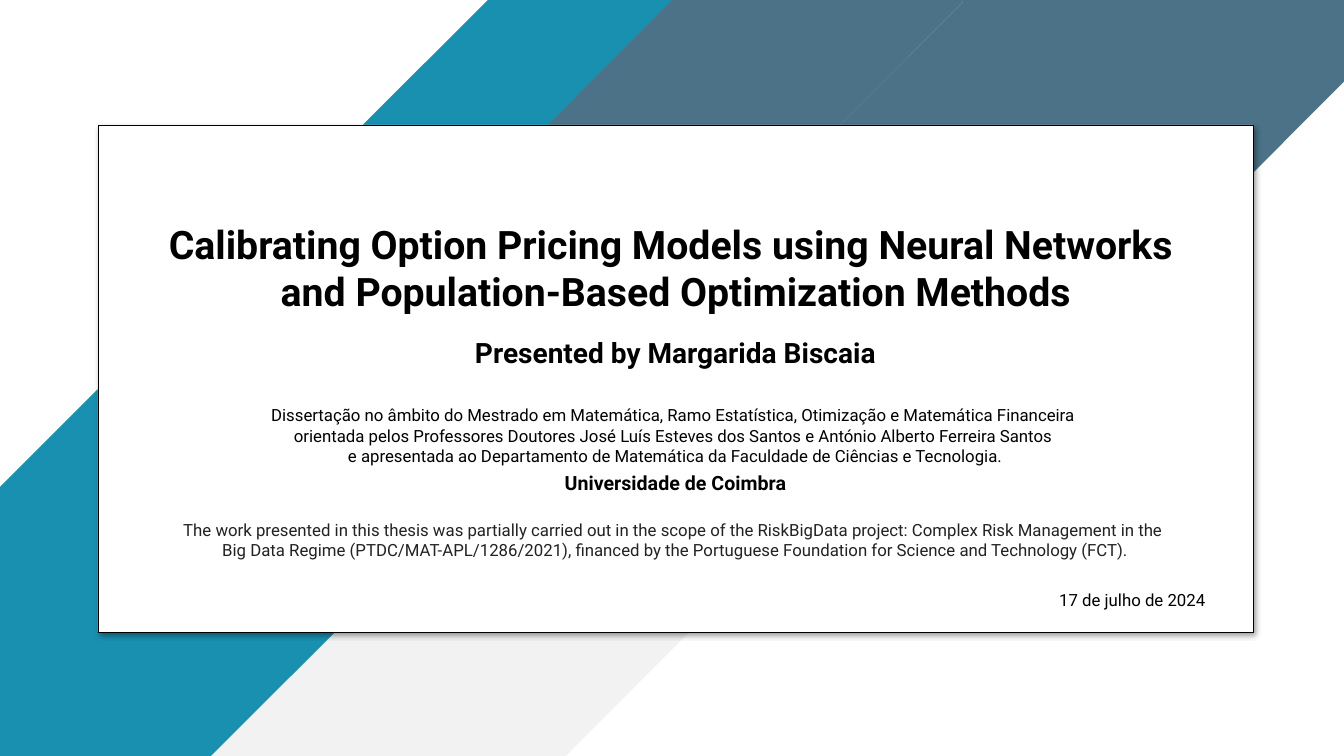
"""Build the title slide of a thesis defence on option pricing models."""
from dataclasses import dataclass

from lxml import etree
from pptx import Presentation
from pptx.dml.color import RGBColor
from pptx.enum import shapes, text
from pptx.oxml.ns import qn
from pptx.util import Inches, Pt


@dataclass(frozen=True)
class Theme:
    font: str = "Roboto"
    black: str = "000000"
    grey_text: str = "222222"
    white: str = "FFFFFF"
    pale: str = "F2F2F2"
    teal: str = "1990B0"
    slate: str = "4B7287"
    title: int = 28
    presenter: int = 20
    university: int = 14
    body: int = 12


@dataclass(frozen=True)
class Band:
    color: str
    points: tuple[tuple[float, float], ...]


@dataclass(frozen=True)
class Box:
    left: float
    top: float
    width: float
    height: float


@dataclass(frozen=True)
class Label:
    box: Box
    lines: tuple[str, ...]
    size: int
    bold: bool = False
    color: str = Theme.black
    rounded: bool = False


THEME = Theme()
CARD = Box(0.97, 1.24, 11.46, 5.03)

BANDS = (
    Band(THEME.pale, ((6.61, 2.91), (8.4, 4.7), (3.69, 9.43), (1.91, 7.65))),
    Band(THEME.teal, ((4.84, 0), (6.7, 0), (5.12, 1.57), (6.58, 3.02),
                      (1.05, 8.54), (0, 7.5), (0, 4.83))),
    Band(THEME.slate, ((9.52, -0.01), (13.33, -0.01), (13.33, 0.81),
                       (8.85, 5.3), (6.55, 3.02), (9.55, 0.02))),
    Band(THEME.slate, ((6.68, -0.01), (9.53, -0.01), (9.55, 0.02),
                       (6.56, 3.02), (5.11, 1.57))),
)


def card_row(top: float, height: float) -> Box:
    """Return a box as wide as the card."""
    return Box(CARD.left, top, CARD.width, height)


LABELS = (
    Label(card_row(2.14, 1.04),
          ("Calibrating Option Pricing Models using Neural Networks ",
           "and Population-Based Optimization Methods"),
          THEME.title, bold=True),
    Label(card_row(3.19, 0.61), ("Presented by Margarida Biscaia",),
          THEME.presenter, bold=True, rounded=True),
    Label(card_row(4.62, 0.34), ("Universidade de Coimbra",),
          THEME.university, bold=True),
    Label(Box(10.34, 5.8, 1.78, 0.3), ("17 de julho de 2024",), THEME.body),
    Label(card_row(5.11, 0.5),
          ("The work presented in this thesis was partially carried out in the scope of "
           "the RiskBigData project: Complex Risk Management in the ",
           "Big Data Regime (PTDC/MAT-APL/1286/2021), financed by the Portuguese "
           "Foundation for Science and Technology (FCT)."),
          THEME.body, color=THEME.grey_text),
    Label(card_row(3.97, 0.71),
          ("Dissertação no âmbito do Mestrado em Matemática, Ramo Estatística, "
           "Otimização e Matemática Financeira ",
           "orientada pelos Professores Doutores José Luís Esteves dos Santos e "
           "António Alberto Ferreira Santos ",
           "e apresentada ao Departamento de Matemática da Faculdade de Ciências "
           "e Tecnologia."),
          THEME.body),
)


def place(box: Box) -> tuple[int, ...]:
    """Convert a box to slide lengths."""
    return tuple(Inches(v) for v in (box.left, box.top, box.width, box.height))


def add_band(slide, band: Band) -> None:
    """Draw one diagonal background band."""
    points = [(Inches(x), Inches(y)) for x, y in band.points]
    builder = slide.shapes.build_freeform(*points[0])
    builder.add_line_segments(points[1:], close=True)
    sp = builder.convert_to_shape()
    sp.shadow.inherit = False
    sp.fill.solid()
    sp.fill.fore_color.rgb = RGBColor.from_string(band.color)
    sp.line.fill.background()


def add_card(slide, box: Box) -> None:
    """Draw the outlined white card with its soft shadow."""
    sp = slide.shapes.add_shape(shapes.MSO_SHAPE.RECTANGLE, *place(box))
    sp.fill.solid()
    sp.fill.fore_color.rgb = RGBColor.from_string(THEME.white)
    sp.line.color.rgb = RGBColor.from_string(THEME.black)
    sp.line.width = Pt(0.25)
    sp.shadow.inherit = False
    effects = sp._element.spPr.find(qn("a:effectLst"))
    shadow = etree.SubElement(effects, qn("a:outerShdw"), blurRad=str(Pt(4)),
                              dist=str(Pt(3)), dir=str(45 * 60000),
                              algn="tl", rotWithShape="0")
    color = etree.SubElement(shadow, qn("a:srgbClr"), val=THEME.black)
    etree.SubElement(color, qn("a:alpha"), val="40000")


def write(tf, lines: tuple[str, ...], *, size: int, bold: bool, color: str) -> None:
    """Write centred paragraphs into a text frame."""
    tf.word_wrap = True
    for i, line in enumerate(lines):
        p = tf.add_paragraph() if i else tf.paragraphs[0]
        p.alignment = text.PP_ALIGN.CENTER
        r = p.add_run()
        r.text = line
        r.font.name = THEME.font
        r.font.size = Pt(size)
        r.font.bold = bold
        r.font.color.rgb = RGBColor.from_string(color)


def add_label(slide, label: Label) -> None:
    """Draw one label as a text box or an unfilled rounded shape."""
    if label.rounded:
        sp = slide.shapes.add_shape(shapes.MSO_SHAPE.ROUNDED_RECTANGLE, *place(label.box))
        sp.adjustments[0] = 0.41
        sp.shadow.inherit = False
        sp.fill.background()
        sp.line.fill.background()
        sp.text_frame.vertical_anchor = text.MSO_ANCHOR.MIDDLE
    else:
        sp = slide.shapes.add_textbox(*place(label.box))
        sp.text_frame.auto_size = text.MSO_AUTO_SIZE.SHAPE_TO_FIT_TEXT
    write(sp.text_frame, label.lines, size=label.size, bold=label.bold, color=label.color)


def main() -> None:
    """Build and save the slide."""
    prs = Presentation()
    prs.slide_width, prs.slide_height = Inches(13.33), Inches(7.5)
    slide = prs.slides.add_slide(prs.slide_layouts[6])
    for band in BANDS:
        add_band(slide, band)
    add_card(slide, CARD)
    for label in LABELS:
        add_label(slide, label)
    prs.save("out.pptx")


if __name__ == "__main__":
    main()
